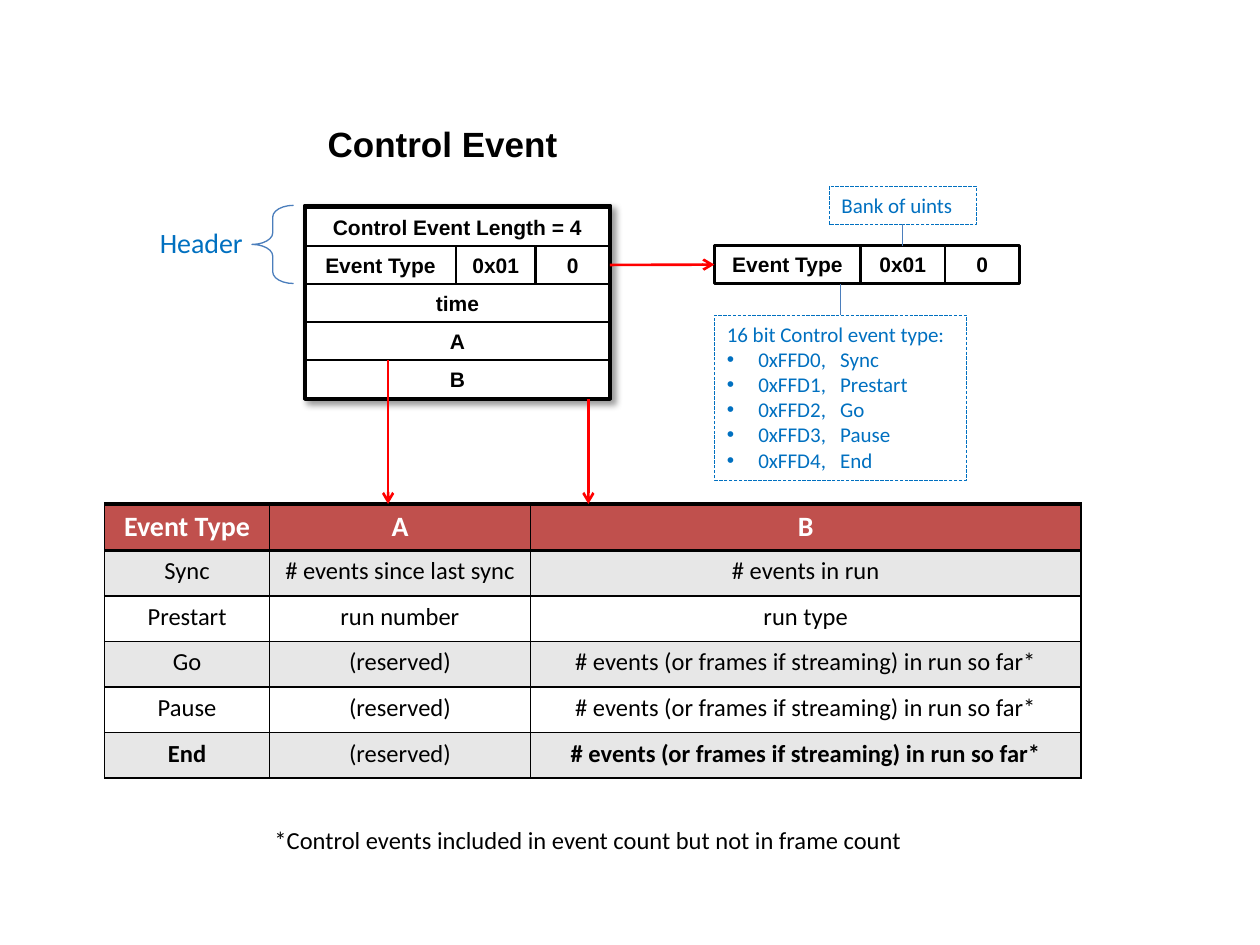
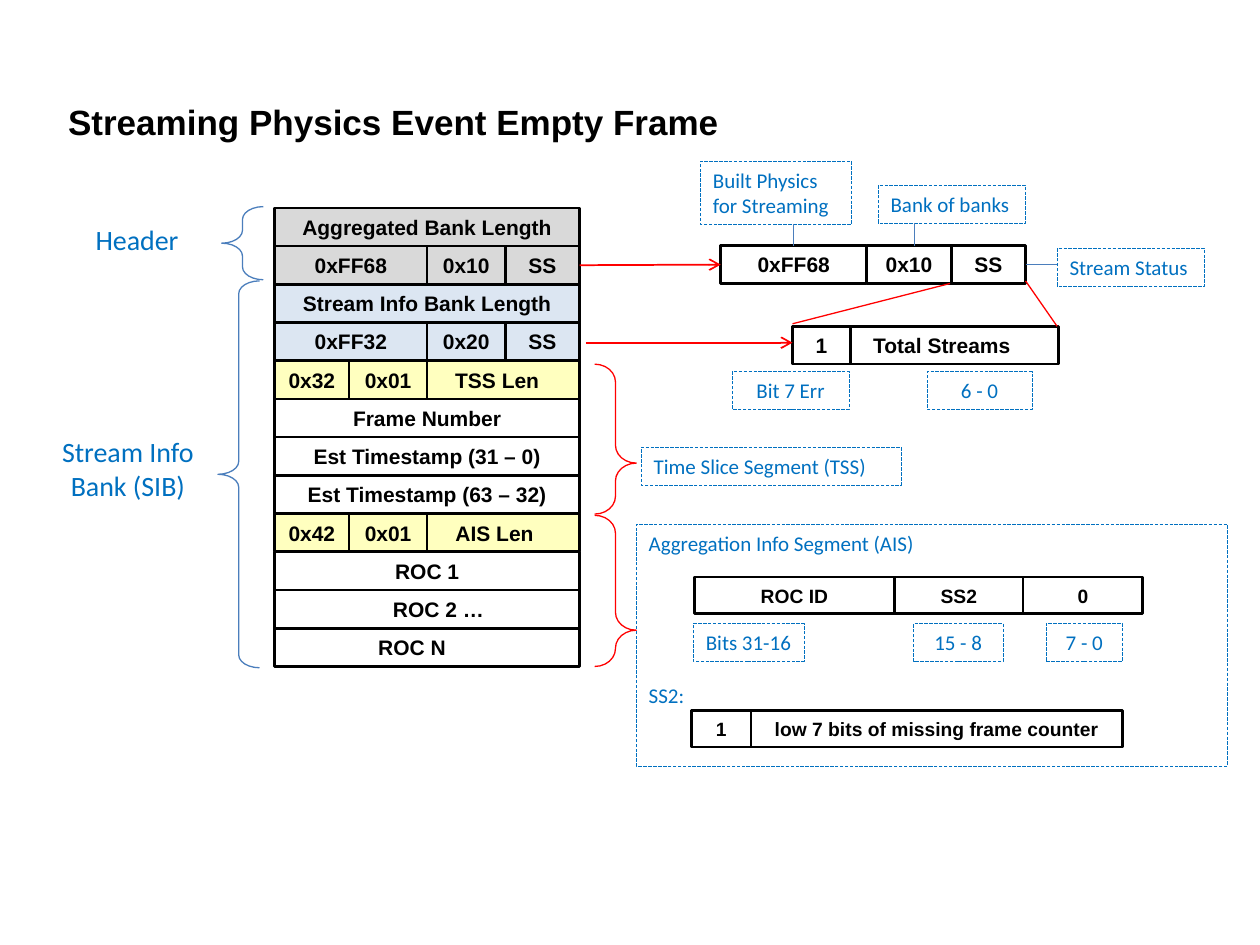
from collections import namedtuple

from lxml import etree
from pptx import Presentation
from pptx.dml.color import RGBColor
from pptx.enum.dml import MSO_LINE
from pptx.enum.shapes import MSO_CONNECTOR, MSO_SHAPE
from pptx.enum.text import MSO_ANCHOR, PP_ALIGN
from pptx.oxml import parse_xml
from pptx.oxml.ns import nsdecls, qn
from pptx.util import Inches, Pt

# Shared style
BLACK = RGBColor(0x00, 0x00, 0x00)
WHITE = RGBColor(0xFF, 0xFF, 0xFF)
NOTE_BLUE = RGBColor(0x00, 0x70, 0xC0)
LEADER_BLUE = RGBColor(0x4B, 0x7E, 0xBC)
RED = RGBColor(0xFF, 0x00, 0x00)
GREY = RGBColor(0xD9, 0xD9, 0xD9)
PALE_BLUE = RGBColor(0xDC, 0xE6, 0xF2)
YELLOW = RGBColor(0xFF, 0xFF, 0x00)
HEAD_RED = RGBColor(0xC0, 0x50, 0x4D)
BAND_GREY = RGBColor(0xE7, 0xE7, 0xE7)

LEFT, CENTER = PP_ALIGN.LEFT, PP_ALIGN.CENTER
TOP, MIDDLE = MSO_ANCHOR.TOP, MSO_ANCHOR.MIDDLE
RECTANGLE = MSO_SHAPE.RECTANGLE
LEFT_BRACE, RIGHT_BRACE = MSO_SHAPE.LEFT_BRACE, MSO_SHAPE.RIGHT_BRACE
STRAIGHT = MSO_CONNECTOR.STRAIGHT
LONG_DASH = MSO_LINE.LONG_DASH
SIDE_TOP, SIDE_LEFT, SIDE_BOTTOM, SIDE_RIGHT = range(4)
TITLE_ONLY = 5

ROW_WIDTH, ROW_HEIGHT = 2.42, 0.3
SHADOW = (f'<a:effectLst {nsdecls("a")}><a:outerShdw blurRad="50800" dist="38100" '
          'dir="2700000" algn="tl" rotWithShape="0"><a:srgbClr val="000000">'
          '<a:alpha val="40000"/></a:srgbClr></a:outerShdw></a:effectLst>')

# texts of the fields, offsets of the dividers, fill, opacity in percent, text shift
Row = namedtuple("Row", "texts splits fill opacity shift", defaults=((), None, 100, 0))


def inches(values):
    return [Inches(value) for value in values]


def write_text(shape, text, size=12, color=NOTE_BLUE, font="Calibri", bold=False,
               align=LEFT, anchor=TOP, wrap=True):
    frame = shape.text_frame
    frame.word_wrap = wrap
    frame.vertical_anchor = anchor
    for index, words in enumerate(text.split("\n")):
        para = frame.add_paragraph() if index else frame.paragraphs[0]
        para.alignment = align
        span = para.add_run()
        span.text = words
        span.font.size = Pt(size)
        span.font.name = font
        span.font.bold = bold
        span.font.color.rgb = color
    return frame


def add_label(page, box, text, **style):
    return write_text(page.shapes.add_textbox(*inches(box)), text, **style)


def add_box(page, box, line, weight, kind=RECTANGLE, fill=None, opacity=100):
    shape = page.shapes.add_shape(kind, *inches(box))
    shape.shadow.inherit = False
    shape.line.color.rgb = line
    shape.line.width = Pt(weight)
    if fill is None:
        shape.fill.background()
    else:
        shape.fill.solid()
        shape.fill.fore_color.rgb = fill
    if opacity < 100:
        color = shape.fill._xPr.find(".//" + qn("a:srgbClr"))
        etree.SubElement(color, qn("a:alpha"), val=str(opacity * 1000))
    return shape


def add_note(page, box, text, align=LEFT):
    note = add_box(page, box, NOTE_BLUE, 0.25)
    note.line.dash_style = LONG_DASH
    write_text(note, text, align=align)
    return note


def add_brace(page, box, curve, tip=0.5, kind=LEFT_BRACE, color=LEADER_BLUE):
    brace = add_box(page, box, color, 0.75, kind)
    brace.adjustments[0], brace.adjustments[1] = curve, tip


def add_line(page, start=(0, 0), end=(0, 0), color=LEADER_BLUE, weight=0.75,
             arrow=False, begin_at=None, end_at=None):
    """Draw from point to point; begin_at and end_at are (shape, side) joints."""
    line = page.shapes.add_connector(STRAIGHT, *inches((*start, *end)))
    line.line.color.rgb = color
    line.line.width = Pt(weight)
    if begin_at:
        line.begin_connect(*begin_at)
    if end_at:
        line.end_connect(*end_at)
    if arrow:
        etree.SubElement(line.line._get_or_add_ln(), qn("a:tailEnd"), type="arrow")
    etree.SubElement(line._element.spPr, qn("a:effectLst"))


def add_title(page, box, text):
    title = page.shapes.title
    title.left, title.top, title.width, title.height = inches(box)
    frame = write_text(title, text, 20, BLACK, "Arial", True, wrap=False)
    properties = frame.paragraphs[0].runs[0].font._element
    properties.find(qn("a:latin")).addprevious(parse_xml(SHADOW))


def field_row(page, box, row, size=12):
    """Draw one word of the format as adjoining fields and return them."""
    left, top, width, height = box
    edges = [0, *row.splits, width]
    fields = []
    for text, start, stop in zip(row.texts, edges, edges[1:]):
        field = add_box(page, (left + start, top, stop - start, height), BLACK, 1.5,
                        fill=row.fill, opacity=row.opacity)
        frame = write_text(field, text, size, BLACK, "Arial", True, CENTER, MIDDLE)
        frame.margin_left = frame.margin_right = 0
        fields.append(field)
    last = fields[-1].text_frame
    last.margin_left = Inches(max(0, 2 * row.shift))
    last.margin_right = Inches(max(0, -2 * row.shift))
    return fields


def field_stack(page, box, rows):
    left, top, width, height = box
    pitch = height / len(rows)
    return [field_row(page, (left, top + index * pitch, width, pitch), row)
            for index, row in enumerate(rows)]


def event_type_note(page, box):
    note = add_note(page, box, "16 bit Control event type:\n0xFFD0,\tSync\n"
                    "0xFFD1,\tPrestart\n0xFFD2,\tGo\n0xFFD3,\tPause\n0xFFD4,\tEnd")
    for para in note.text_frame.paragraphs[1:]:
        properties = para._p.get_or_add_pPr()
        properties.set("marL", str(Inches(0.25)))
        properties.set("indent", str(-Inches(0.25)))
        etree.SubElement(properties, qn("a:buFont"), typeface="Arial")
        etree.SubElement(properties, qn("a:buChar"), char="•")
        tabs = etree.SubElement(properties, qn("a:tabLst"))
        etree.SubElement(tabs, qn("a:tab"), pos=str(Inches(0.9)), algn="l")
    return note


def set_borders(cell, weights):
    properties = cell._tc.get_or_add_tcPr()
    for side, weight in zip("LRTB", weights):
        properties.append(parse_xml(
            f'<a:ln{side} {nsdecls("a")} w="{Pt(weight)}"><a:solidFill>'
            f'<a:srgbClr val="{BLACK}"/></a:solidFill></a:ln{side}>'))


def event_table(page, box):
    so_far = "# events (or frames if streaming) in run so far*"
    rows = [("Event Type", "A", "B"),
            ("Sync", "# events since last sync", "# events in run"),
            ("Prestart", "run number", "run type"),
            ("Go", "(reserved)", so_far),
            ("Pause", "(reserved)", so_far),
            ("End", "(reserved)", so_far)]
    table = page.shapes.add_table(len(rows), 3, *inches(box)).table
    for column, width in zip(table.columns, (1.31, 2.07, 4.37)):
        column.width = Inches(width)
    for r, texts in enumerate(rows):
        head, last = r == 0, r == len(rows) - 1
        for c, text in enumerate(texts):
            cell = table.cell(r, c)
            set_borders(cell, (1, 1, 2 if r < 2 else 1, 2 if head else 1))
            cell.fill.solid()
            cell.fill.fore_color.rgb = HEAD_RED if head else BAND_GREY if r % 2 else WHITE
            write_text(cell, text, 16 if head else 14, WHITE if head else BLACK,
                       bold=head or (last and c != 1), align=CENTER)


def control_slide(page):
    add_title(page, (2.5, 0.92, 2.17, 0.44), "Control Event")

    # Event layout
    frame = add_box(page, (2.42, 1.63, ROW_WIDTH, 1.54), BLACK, 2, fill=WHITE)
    properties = frame._element.spPr
    properties.remove(properties.find(qn("a:effectLst")))
    properties.append(parse_xml(SHADOW))
    stack = field_stack(page, (2.42, 1.65, ROW_WIDTH, 1.51), [
        Row(["Control Event Length = 4"]),
        Row(["Event  Type".replace("  ", " "), "0x01", "0"], (1.2, 1.83)),
        Row(["time"]), Row(["A"]), Row(["B"])])
    add_label(page, (1.17, 1.74, 0.92, 0.37), "Header", size=16, wrap=False)
    add_brace(page, (2, 1.63, 0.33, 0.62), 0.28)

    # Header word and its notes
    word = field_row(page, (5.67, 1.95, ROW_WIDTH, ROW_HEIGHT),
                     Row(["Event Type", "0x01", "0"], (1.16, 1.83), WHITE))
    bank = add_note(page, (6.58, 1.48, 1.17, ROW_HEIGHT), "Bank of uints")
    types = event_type_note(page, (5.67, 2.5, 2, 1.31))
    add_line(page, begin_at=(bank, SIDE_BOTTOM), end_at=(word[1], SIDE_TOP))
    add_line(page, end=(6.67, 2.25), begin_at=(types, SIDE_TOP))
    add_line(page, color=RED, weight=1.5, arrow=True,
             begin_at=(stack[1][-1], SIDE_RIGHT), end_at=(word[0], SIDE_LEFT))

    # Meaning of words A and B
    event_table(page, (0.83, 4, 7.75, 2.17))
    for x, y in ((3.08, 2.86), (4.67, 3.17)):
        add_line(page, (x, y), (x, 4), RED, 1.5, arrow=True)
    add_label(page, (2.08, 6.5, 5.42, 0.34),
              "*Control events included in event count but not in frame count",
              size=14, color=BLACK)


def aggregation_panel(page, box):
    left, top = box[:2]
    add_note(page, box, "Aggregation Info Segment (AIS)")
    field_row(page, (left + 0.46, top + 0.42, 3.56, 0.29),
              Row(["ROC ID", "SS2", "0"], (1.59, 2.61)), size=11)
    for x, width, bits in ((0.45, 0.88, "Bits 31-16"), (2.2, 0.71, "15 - 8"),
                           (3.25, 0.61, "7 - 0")):
        add_note(page, (left + x, top + 0.79, width, ROW_HEIGHT), bits, CENTER)
    add_label(page, (left, top + 1.21, 0.6, ROW_HEIGHT), "SS2:", wrap=False)
    field_row(page, (left + 0.44, top + 1.48, 3.42, 0.29),
              Row(["1", "low 7 bits of missing frame counter"], (0.47,)), size=11)


def frame_slide(page):
    add_title(page, (0.44, 0.75, 5.45, 0.44), "Streaming Physics Event Empty Frame")

    # Frame layout
    bank_splits, segment_splits = (1.21, 1.83), (0.59, 1.21)
    stack = field_stack(page, (2.18, 1.65, ROW_WIDTH, 3.64), [
        Row(["Aggregated Bank Length"], fill=GREY),
        Row(["0xFF68", "0x10", "SS"], bank_splits, GREY),
        Row(["Stream Info Bank Length"], fill=PALE_BLUE),
        Row(["0xFF32", "0x20", "SS"], bank_splits, PALE_BLUE),
        Row(["0x32", "0x01", "TSS Len"], segment_splits, YELLOW, 25, -0.05),
        Row(["Frame Number"]),
        Row(["Est Timestamp (31 – 0)"]),
        Row(["Est Timestamp (63 – 32)"]),
        Row(["0x42", "0x01", "AIS Len"], segment_splits, YELLOW, 25, -0.07),
        Row(["ROC 1"]),
        Row(["ROC 2 …"], shift=0.09),
        Row(["ROC N"], shift=-0.12)])

    # Parts of the frame
    add_label(page, (0.66, 1.72, 0.92, 0.37), "Header", size=16, wrap=False)
    add_label(page, (0.14, 3.4, 1.75, 0.64), "Stream Info\nBank (SIB)", size=16,
              align=CENTER)
    add_brace(page, (1.76, 1.64, 0.33, 0.58), 0.31)
    add_brace(page, (1.73, 2.23, 0.33, 3.07), 0.31)
    add_brace(page, (4.72, 2.89, 0.33, 1.19), 0.43, 0.66, RIGHT_BRACE, RED)
    add_brace(page, (4.72, 4.09, 0.33, 1.2), 0.43, 0.76, RIGHT_BRACE, RED)
    add_note(page, (5.09, 3.55, 2.06, ROW_HEIGHT), "Time Slice Segment (TSS)")

    # Header word and its notes
    word = field_row(page, (5.72, 1.95, ROW_WIDTH, ROW_HEIGHT),
                     Row(["0xFF68", "0x10", "SS"], (1.16, 1.83), WHITE))
    add_note(page, (5.56, 1.28, 1.2, 0.5), "Built Physics for Streaming")
    add_note(page, (6.97, 1.47, 1.17, ROW_HEIGHT), "Bank of banks")
    add_note(page, (8.39, 1.97, 1.17, ROW_HEIGHT), "Stream Status")
    add_line(page, (6.3, 1.78), end_at=(word[0], SIDE_TOP))
    add_line(page, (7.26, 1.77), (7.26, 1.95))
    add_line(page, (8.39, 2.1), end_at=(word[2], SIDE_RIGHT))
    add_line(page, color=RED, weight=1, arrow=True,
             begin_at=(stack[1][-1], SIDE_RIGHT), end_at=(word[0], SIDE_LEFT))

    # Stream status bits
    field_row(page, (6.29, 2.59, 2.11, ROW_HEIGHT),
              Row(["1", "Total Streams"], (0.46,), shift=-0.1))
    add_note(page, (5.81, 2.95, 0.93, ROW_HEIGHT), "Bit 7 Err", CENTER)
    add_note(page, (7.36, 2.95, 0.83, ROW_HEIGHT), "6 - 0", CENTER)
    add_line(page, (7.54, 2.25), (6.29, 2.57), RED)
    add_line(page, (8.14, 2.23), (8.39, 2.59), RED)
    add_line(page, (4.65, 2.72), (6.29, 2.72), RED, 1, arrow=True)

    aggregation_panel(page, (5.05, 4.16, 4.69, 1.92))


def main():
    deck = Presentation()
    deck.slide_width, deck.slide_height = Inches(10), Inches(7.5)
    for build in (control_slide, frame_slide):
        build(deck.slides.add_slide(deck.slide_layouts[TITLE_ONLY]))
    deck.save("out.pptx")


if __name__ == "__main__":
    main()
